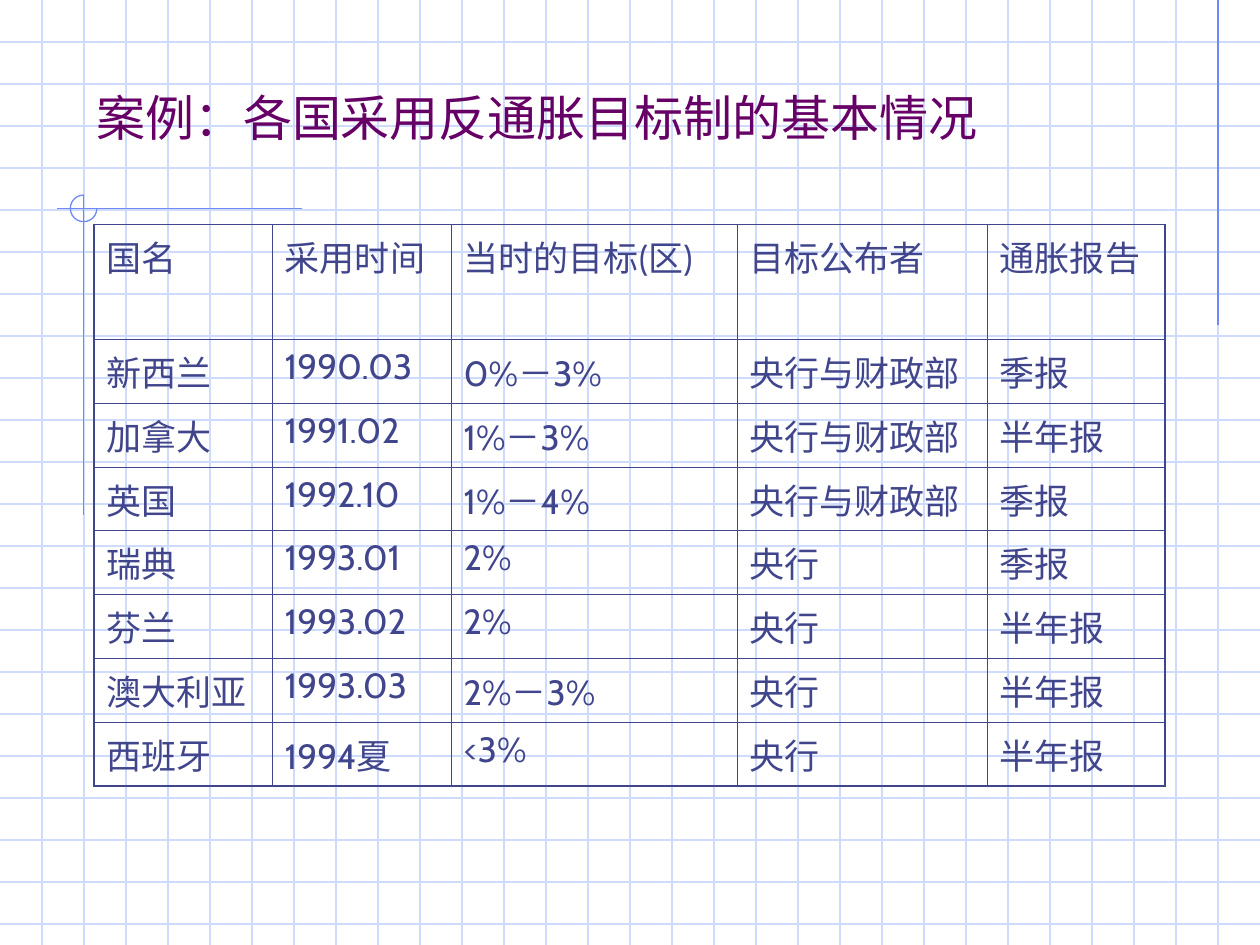
"""Build a slide with a table of countries that adopted inflation targeting."""
from dataclasses import dataclass

from lxml import etree
from pptx import Presentation
from pptx.dml.color import RGBColor
from pptx.enum.shapes import MSO_CONNECTOR, MSO_SHAPE
from pptx.enum.text import MSO_ANCHOR
from pptx.oxml.ns import qn
from pptx.util import Pt

STRAIGHT = MSO_CONNECTOR.STRAIGHT
ARC = MSO_SHAPE.ARC
BOTTOM = MSO_ANCHOR.BOTTOM


@dataclass(frozen=True)
class Theme:
    font: str = "Cabin"
    title_size: float = 28
    cell_size: float = 20
    title: str = "660066"
    ink: str = "40458C"
    grid: str = "CFDBFD"
    accent: str = "6F89F7"
    rule: float = 0.74
    inner_border: float = 0.45
    outer_border: float = 1.08


THEME = Theme()
WIDTH, HEIGHT, GRID_STEP = 720, 540, 24

TITLE = "案例：各国采用反通胀目标制的基本情况"
TITLE_BOX = (48, 24, 612, 63)
ROWS = [
    ("国名", "采用时间", "当时的目标(区)", "目标公布者", "通胀报告"),
    ("新西兰", "1990.03", "0%－3%", "央行与财政部", "季报"),
    ("加拿大", "1991.02", "1%－3%", "央行与财政部", "半年报"),
    ("英国", "1992.10", "1%－4%", "央行与财政部", "季报"),
    ("瑞典", "1993.01", "2%", "央行", "季报"),
    ("芬兰", "1993.02", "2%", "央行", "半年报"),
    ("澳大利亚", "1993.03", "2%－3%", "央行", "半年报"),
    ("西班牙", "1994夏", "<3%", "央行", "半年报"),
]
TABLE_LEFT, TABLE_TOP = 53.8, 128.2
COLUMN_WIDTHS = (101.8, 102.2, 163.4, 143, 101.6)
ROW_HEIGHTS = (65.7,) + (36.5,) * (len(ROWS) - 1)
ACCENT_LINES = [
    (696, 0, 696, 186),
    (172.8, 119.2, 32.4, 119.2),
    (47.8, 111.6, 47.8, 294.5),
]
ARC_BOX = (40.2, 111.5, 15.2, 15.2)
ARC_ANGLES = (0, 270)


def points(values):
    return [Pt(value) for value in values]


def add_line(slide, ends, color):
    line = slide.shapes.add_connector(STRAIGHT, *points(ends))
    line.line.color.rgb = RGBColor.from_string(color)
    line.line.width = Pt(THEME.rule)
    etree.SubElement(line._element.spPr, qn("a:effectLst"))


def add_span(para, text, size, color):
    span = para.add_run()
    span.text = text
    span.font.name = THEME.font
    span.font.size = Pt(size)
    span.font.color.rgb = RGBColor.from_string(color)


def set_borders(cell, outer_sides):
    properties = cell._tc.get_or_add_tcPr()
    for side, outer in zip("LRTB", outer_sides):
        width = THEME.outer_border if outer else THEME.inner_border
        border = etree.SubElement(properties, qn("a:ln" + side), w=str(Pt(width)))
        fill = etree.SubElement(border, qn("a:solidFill"))
        etree.SubElement(fill, qn("a:srgbClr"), val=THEME.ink)


def add_background(slide):
    for y in range(GRID_STEP, HEIGHT, GRID_STEP):
        add_line(slide, (0, y, WIDTH, y), THEME.grid)
    for x in range(GRID_STEP, WIDTH, GRID_STEP):
        add_line(slide, (x, 0, x, HEIGHT), THEME.grid)
    for ends in ACCENT_LINES:
        add_line(slide, ends, THEME.accent)
    arc = slide.shapes.add_shape(ARC, *points(ARC_BOX))
    for index, angle in enumerate(ARC_ANGLES):
        arc.adjustments[index] = angle * 0.6
    arc.shadow.inherit = False
    arc.fill.background()
    arc.line.color.rgb = RGBColor.from_string(THEME.accent)
    arc.line.width = Pt(THEME.rule)


def add_title(slide):
    frame = slide.shapes.add_textbox(*points(TITLE_BOX)).text_frame
    frame.word_wrap = True
    frame.vertical_anchor = BOTTOM
    add_span(frame.paragraphs[0], TITLE, THEME.title_size, THEME.title)


def add_country_table(slide):
    bounds = (TABLE_LEFT, TABLE_TOP, sum(COLUMN_WIDTHS), sum(ROW_HEIGHTS))
    last_row, last_column = len(ROWS) - 1, len(COLUMN_WIDTHS) - 1
    table = slide.shapes.add_table(len(ROWS), len(COLUMN_WIDTHS), *points(bounds)).table
    table.first_row = table.horz_banding = False
    for column, width in zip(table.columns, COLUMN_WIDTHS):
        column.width = Pt(width)
    for r, (values, height) in enumerate(zip(ROWS, ROW_HEIGHTS)):
        table.rows[r].height = Pt(height)
        for c, value in enumerate(values):
            cell = table.cell(r, c)
            set_borders(cell, (c == 0, c == last_column, r == 0, r == last_row))
            cell.fill.background()
            para = cell.text_frame.paragraphs[0]
            para.space_before = Pt(5)
            add_span(para, value, THEME.cell_size, THEME.ink)


deck = Presentation()
deck.slide_width, deck.slide_height = Pt(WIDTH), Pt(HEIGHT)
page = deck.slides.add_slide(deck.slide_layouts[6])
add_background(page)
add_title(page)
add_country_table(page)
deck.save("out.pptx")
